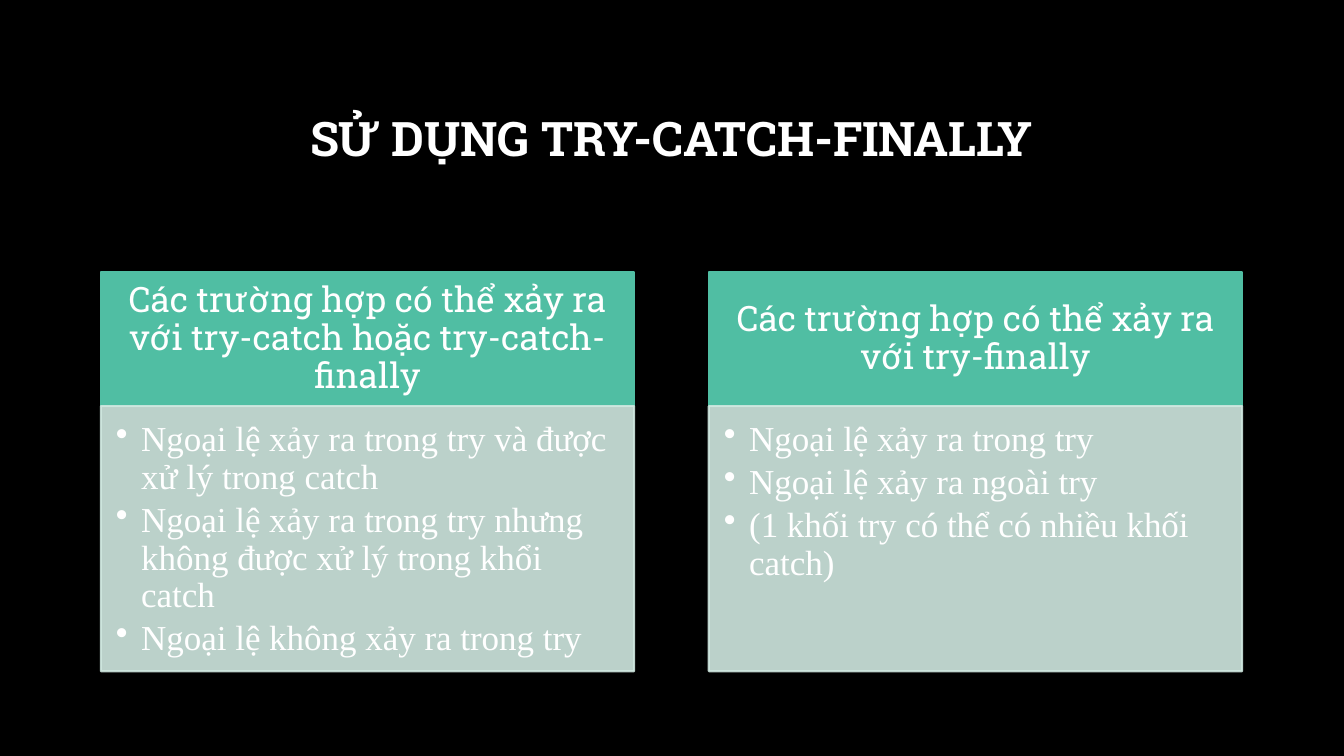
"""Build a slide comparing the cases of try-catch-finally and try-finally."""
import pptx
import pptx.util
import pptx.dml.color
import pptx.enum.shapes
import pptx.enum.text
import pptx.oxml.ns
from lxml import etree

Inches = pptx.util.Inches
Pt = pptx.util.Pt
RGBColor = pptx.dml.color.RGBColor
qn = pptx.oxml.ns.qn
PP_ALIGN = pptx.enum.text.PP_ALIGN
MSO_ANCHOR = pptx.enum.text.MSO_ANCHOR

BLACK = RGBColor(0x00, 0x00, 0x00)
WHITE = RGBColor(0xFF, 0xFF, 0xFF)
GREEN = RGBColor(0x50, 0xBE, 0xA3)
PALE_GREEN = RGBColor(0xD0, 0xE8, 0xE0)

CARDS = [
    ("Các trường hợp có thể xảy ra với try-catch hoặc try-catch-finally", [
        "Ngoại lệ xảy ra trong try và được xử lý trong catch",
        "Ngoại lệ xảy ra trong try nhưng không được xử lý trong khổi catch",
        "Ngoại lệ không xảy ra trong try",
    ]),
    ("Các trường hợp có thể xảy ra với try-finally", [
        "Ngoại lệ xảy ra trong try",
        "Ngoại lệ xảy ra ngoài try",
        "(1 khối try có thể có nhiều khối catch)",
    ]),
]
LEFT, STEP, WIDTH = 1, 6.03, 5.29
HEADER_TOP, HEADER_HEIGHT, BODY_HEIGHT = 2.7, 1.33, 2.63


def add_panel(left, top, height, color, margins):
    panel = slide.shapes.add_shape(
        pptx.enum.shapes.MSO_SHAPE.RECTANGLE,
        Inches(left), Inches(top), Inches(WIDTH), Inches(height))
    panel.shadow.inherit = False
    panel.fill.solid()
    panel.fill.fore_color.rgb = color
    panel.line.color.rgb = color
    panel.line.width = Pt(1.5)
    frame = panel.text_frame
    frame.word_wrap = True
    (frame.margin_left, frame.margin_top,
     frame.margin_right, frame.margin_bottom) = map(Inches, margins)
    return panel


def style_paragraph(para, text, size, font_name, alignment):
    para.text = text
    para.alignment = alignment
    para.line_spacing = 0.9
    para.font.size = Pt(size)
    para.font.name = font_name
    para.font.color.rgb = WHITE


deck = pptx.Presentation()
deck.slide_width = Inches(13.33)
deck.slide_height = Inches(7.5)
slide = deck.slides.add_slide(deck.slide_layouts[6])
slide.background.fill.solid()
slide.background.fill.fore_color.rgb = BLACK

title = slide.shapes.add_textbox(Inches(1), Inches(0.67), Inches(11.32), Inches(1.45))
title.text_frame.word_wrap = True
title.text_frame.vertical_anchor = MSO_ANCHOR.MIDDLE
title_para = title.text_frame.paragraphs[0]
style_paragraph(title_para, "SỬ DỤNG TRY-CATCH-FINALLY", 34, "Roboto Slab", PP_ALIGN.CENTER)
title_para.font.bold = True

for column, (heading, cases) in enumerate(CARDS):
    left = LEFT + column * STEP

    header = add_panel(left, HEADER_TOP, HEADER_HEIGHT, GREEN, (0.19, 0.11, 0.19, 0.11))
    header.text_frame.vertical_anchor = MSO_ANCHOR.MIDDLE
    style_paragraph(header.text_frame.paragraphs[0], heading, 25, "Roboto Slab", PP_ALIGN.CENTER)

    body = add_panel(left, HEADER_TOP + HEADER_HEIGHT, BODY_HEIGHT, PALE_GREEN,
                     (0.15, 0.15, 0.19, 0.22))
    for color in body.element.spPr.iter(qn("a:srgbClr")):
        etree.SubElement(color, qn("a:alpha"), val="90000")
    frame = body.text_frame
    frame.vertical_anchor = MSO_ANCHOR.TOP
    for index, case in enumerate(cases):
        para = frame.add_paragraph() if index else frame.paragraphs[0]
        style_paragraph(para, case, 25, "Times New Roman", PP_ALIGN.LEFT)
        para.space_after = Pt(3.75)
        properties = para._p.get_or_add_pPr()
        properties.set("marL", str(Inches(0.25)))
        properties.set("indent", str(-Inches(0.25)))
        bullet = etree.Element(qn("a:buChar"), char="•")
        properties.find(qn("a:spcAft")).addnext(bullet)

deck.save("out.pptx")
